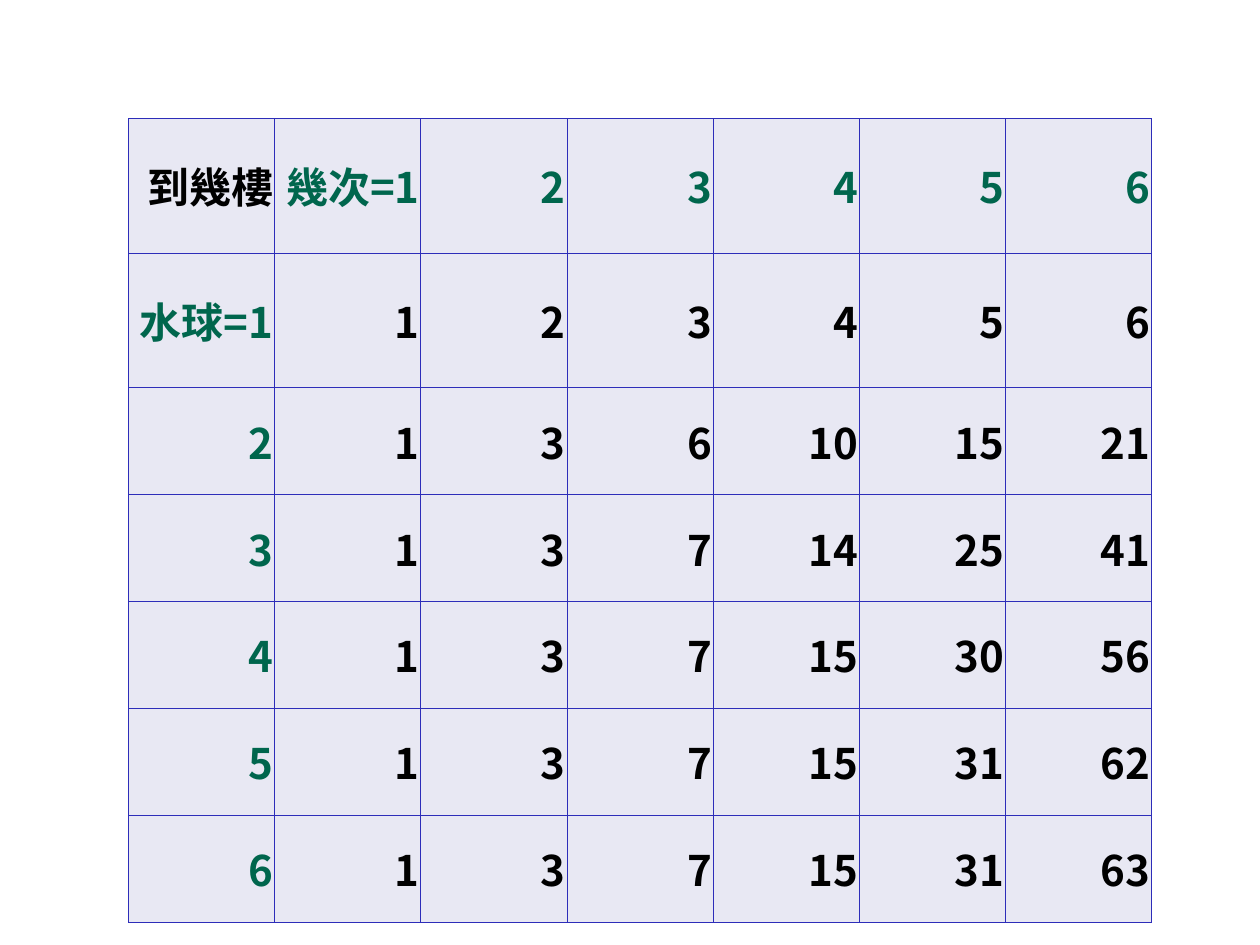
import pptx
import pptx.dml.color
import pptx.enum.text
import pptx.oxml.ns
import pptx.util
from lxml import etree

Inches = pptx.util.Inches
Pt = pptx.util.Pt
qn = pptx.oxml.ns.qn

COLORS = {"border": "2D2DB9", "fill": "E8E8F3", "heading": "00664D", "value": "000000"}
FONT = "Noto Sans CJK TC"
FONT_FORMAT = {"name": FONT, "size": Pt(24), "bold": True}
CELL_FORMAT = {
    "margin_left": Inches(0.01),
    "margin_right": Inches(0.01),
    "margin_top": Inches(0.05),
    "margin_bottom": Inches(0.05),
    "vertical_anchor": pptx.enum.text.MSO_ANCHOR.MIDDLE,
}
FLOORS = [
    ["到幾樓", "幾次=1", 2, 3, 4, 5, 6],
    ["水球=1", 1, 2, 3, 4, 5, 6],
    [2, 1, 3, 6, 10, 15, 21],
    [3, 1, 3, 7, 14, 25, 41],
    [4, 1, 3, 7, 15, 30, 56],
    [5, 1, 3, 7, 15, 31, 62],
    [6, 1, 3, 7, 15, 31, 63],
]


def rgb(role):
    """Return the colour of a role."""
    return pptx.dml.color.RGBColor.from_string(COLORS[role])


def set_borders(cell):
    """Draw a thin line on all four sides of a cell."""
    properties = cell._tc.get_or_add_tcPr()
    for position, side in enumerate(("lnL", "lnR", "lnT", "lnB")):
        line = etree.Element(qn(f"a:{side}"), w=str(Pt(0.45)))
        fill = etree.SubElement(line, qn("a:solidFill"))
        etree.SubElement(fill, qn("a:srgbClr"), val=COLORS["border"])
        properties.insert(position, line)


def write_cell(cell, content, role):
    """Fill, frame and format one cell and write its content."""
    for name, value in CELL_FORMAT.items():
        setattr(cell, name, value)
    cell.fill.solid()
    cell.fill.fore_color.rgb = rgb("fill")
    set_borders(cell)
    paragraph = cell.text_frame.paragraphs[0]
    paragraph.alignment = pptx.enum.text.PP_ALIGN.RIGHT
    run = paragraph.add_run()
    run.text = str(content)
    for name, value in FONT_FORMAT.items():
        setattr(run.font, name, value)
    run.font.color.rgb = rgb(role)
    etree.SubElement(run.font._element, qn("a:ea"), typeface=FONT)


def add_floor_table(slide, left, top, width, height):
    """Place the table of reachable floors in the given box."""
    frame = slide.shapes.add_table(len(FLOORS), len(FLOORS[0]), left, top, width, height)
    table = frame.table
    table.first_row = False
    table.horz_banding = False
    for row, contents in enumerate(FLOORS):
        for column, content in enumerate(contents):
            is_heading = (row == 0) != (column == 0)
            write_cell(table.cell(row, column), content, "heading" if is_heading else "value")


def main():
    """Build and save the slide."""
    presentation = pptx.Presentation()
    presentation.slide_width = Inches(10)
    presentation.slide_height = Inches(7.5)
    slide = presentation.slides.add_slide(presentation.slide_layouts[6])
    add_floor_table(slide, Inches(1.02), Inches(0.94), Inches(8.12), Inches(5.94))
    presentation.save("out.pptx")


if __name__ == "__main__":
    main()
